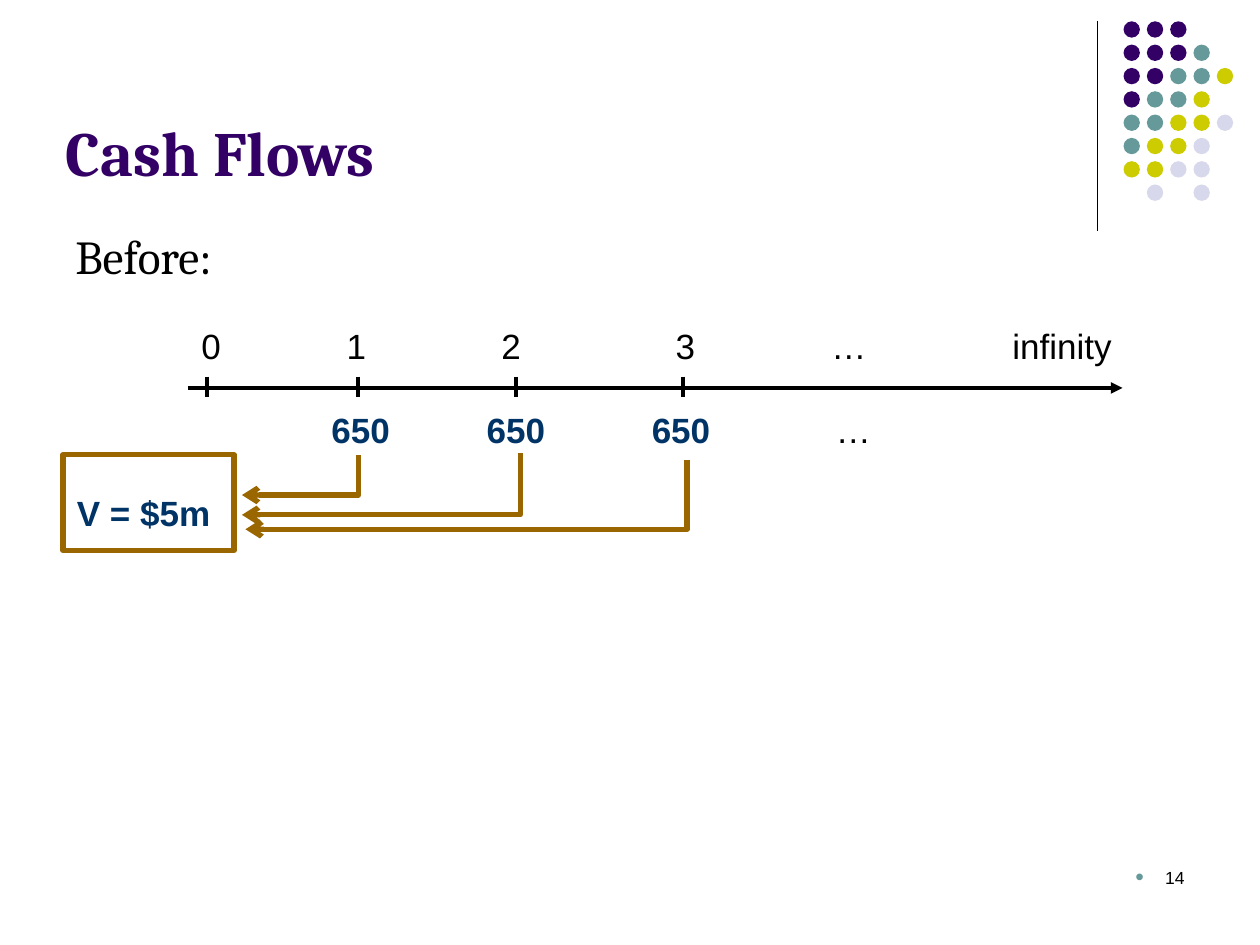
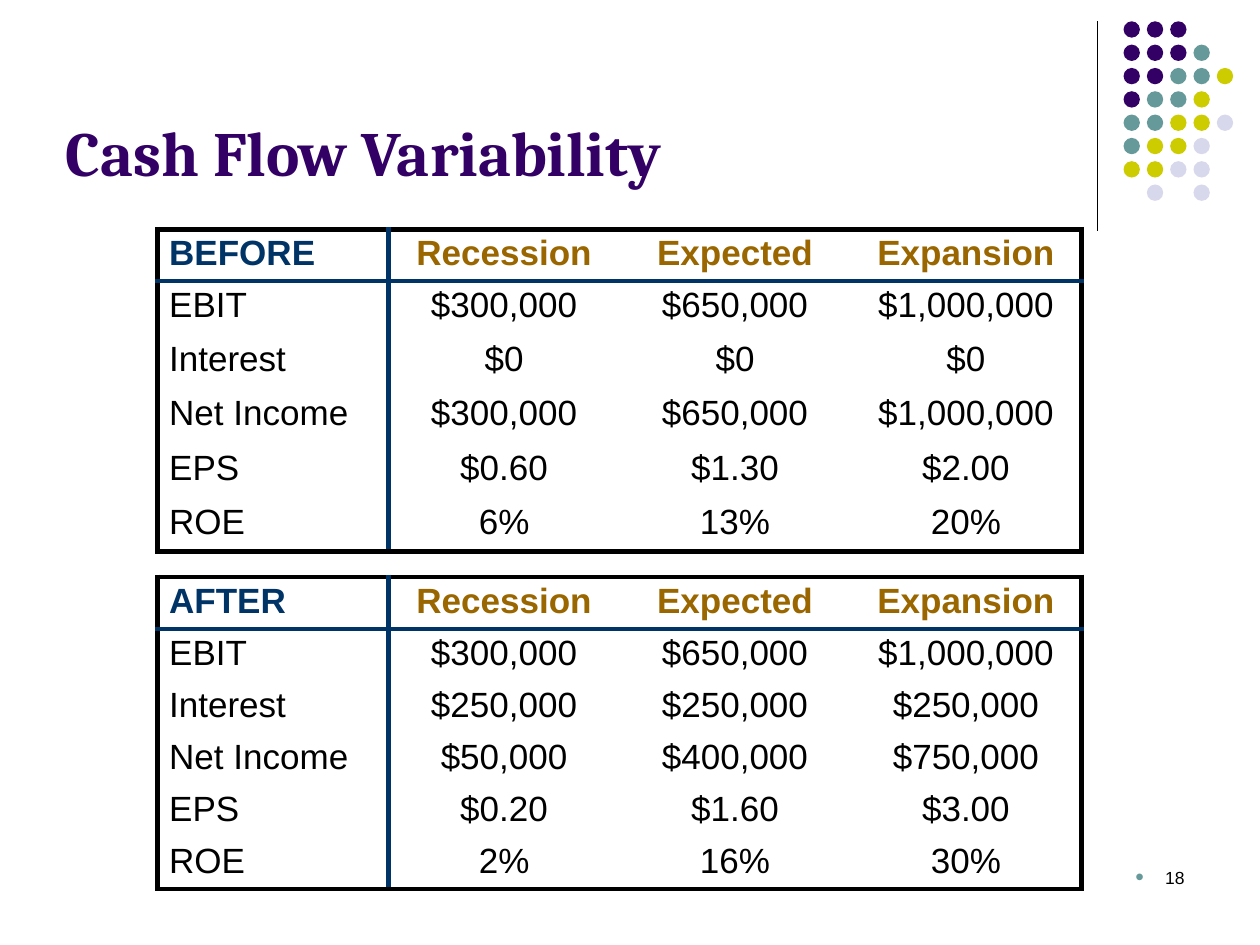
from dataclasses import dataclass

from lxml import etree
from pptx import Presentation
from pptx.dml.color import RGBColor
from pptx.enum.shapes import MSO_CONNECTOR, MSO_SHAPE
from pptx.enum.text import MSO_ANCHOR, MSO_AUTO_SIZE, PP_ALIGN
from pptx.oxml.ns import qn
from pptx.util import Cm, Pt

STRAIGHT, ELBOW = MSO_CONNECTOR.STRAIGHT, MSO_CONNECTOR.ELBOW
RECT, OVAL = MSO_SHAPE.RECTANGLE, MSO_SHAPE.OVAL
LEFT, CENTER, RIGHT = PP_ALIGN.LEFT, PP_ALIGN.CENTER, PP_ALIGN.RIGHT
TOP, BOTTOM = MSO_ANCHOR.TOP, MSO_ANCHOR.BOTTOM
NO_FIT = MSO_AUTO_SIZE.NONE


@dataclass(frozen=True)
class Theme:
    purple: str = "330066"
    teal: str = "669999"
    lime: str = "CCCC00"
    mist: str = "D8D8EC"
    navy: str = "003366"
    gold: str = "996600"
    black: str = "000000"
    heading_font: str = "Cambria"
    body_font: str = "Arial"
    title_size: int = 36
    lead_size: int = 27
    body_size: int = 20
    number_size: int = 10
    hairline: float = 0.75
    axis_line: float = 2.25
    heavy_line: float = 3


DOT_ROWS = ["PPP", "PPPT", "PPTTL", "PTTL", "TTLLM", "TLLM", "LLMM", " M M"]
SCENARIOS = ["Recession", "Expected", "Expansion"]
BEFORE = [
    ["BEFORE", *SCENARIOS],
    ["EBIT", "$300,000", "$650,000", "$1,000,000"],
    ["Interest", "$0", "$0", "$0"],
    ["Net Income", "$300,000", "$650,000", "$1,000,000"],
    ["EPS", "$0.60", "$1.30", "$2.00"],
    ["ROE", "6%", "13%", "20%"],
]
AFTER = [
    ["AFTER", *SCENARIOS],
    ["EBIT", "$300,000", "$650,000", "$1,000,000"],
    ["Interest", "$250,000", "$250,000", "$250,000"],
    ["Net Income", "$50,000", "$400,000", "$750,000"],
    ["EPS", "$0.20", "$1.60", "$3.00"],
    ["ROE", "2%", "16%", "30%"],
]


def sub(parent, tag, **attrs):
    """Append a DrawingML child element."""
    return etree.SubElement(parent, qn(tag), attrs)


def write(p, text, size=20, color="000000", font="Arial", bold=False, align=LEFT):
    """Add a formatted run to a paragraph."""
    p.alignment = align
    r = p.add_run()
    r.text = text
    r.font.size = Pt(size)
    r.font.name = font
    r.font.bold = bold
    r.font.color.rgb = RGBColor.from_string(color)


def set_tabs(p, stops):
    tabs = sub(p._p.get_or_add_pPr(), "a:tabLst")
    for stop in stops:
        sub(tabs, "a:tab", pos=str(Cm(stop)), algn="l")


def set_bullet(p, color, hang):
    pPr = p._p.get_or_add_pPr()
    pPr.set("marL", str(Cm(hang)))
    pPr.set("indent", str(-Cm(hang)))
    sub(sub(pPr, "a:buClr"), "a:srgbClr", val=color)
    sub(pPr, "a:buSzPct", val="140000")
    sub(pPr, "a:buFont", typeface="Arial")
    sub(pPr, "a:buChar", char="•")


def set_border(cell, edge, color, width):
    """Draw one cell edge, or clear it when color is None."""
    ln = sub(cell._tc.get_or_add_tcPr(), f"a:ln{edge}", w=str(Pt(width)))
    if color:
        sub(sub(ln, "a:solidFill"), "a:srgbClr", val=color)
    else:
        sub(ln, "a:noFill")


class Deck:
    def __init__(self, theme):
        self.t = theme
        self.prs = Presentation()
        self.prs.slide_width, self.prs.slide_height = Cm(25.4), Cm(19.05)
        self.s = None

    def slide(self, title, number):
        t = self.t
        self.s = self.prs.slides.add_slide(self.prs.slide_layouts[5])
        self.line(22.12, 0.43, 22.12, 4.65, width=t.hairline)
        self.dots()
        sp = self.s.shapes.title
        sp.left, sp.top, sp.width, sp.height = Cm(1.07), Cm(0.76), Cm(23.29), Cm(3.18)
        tf = sp.text_frame
        tf.vertical_anchor, tf.auto_size = BOTTOM, NO_FIT
        write(tf.paragraphs[0], title, size=t.title_size, color=t.purple,
              font=t.heading_font, bold=True)
        p = self.text(18.21, 17.35, 5.92, 1.27, str(number),
                      size=t.number_size, align=RIGHT)
        set_bullet(p, t.teal, hang=0.6)

    def dots(self, left=22.65, top=0.43, pitch=0.47, size=0.33):
        t = self.t
        colors = {"P": t.purple, "T": t.teal, "L": t.lime, "M": t.mist}
        group = self.s.shapes.add_group_shape()
        for row, codes in enumerate(DOT_ROWS):
            for col, code in enumerate(codes):
                if code not in colors:
                    continue
                sp = group.shapes.add_shape(OVAL, Cm(left + col * pitch), Cm(top + row * pitch),
                                            Cm(size), Cm(size))
                sp.shadow.inherit = False
                sp.fill.solid()
                sp.fill.fore_color.rgb = RGBColor.from_string(colors[code])
                sp.line.fill.background()

    def text(self, x, y, w, h, text, **fmt):
        """Add a text box and return its paragraph."""
        tf = self.s.shapes.add_textbox(Cm(x), Cm(y), Cm(w), Cm(h)).text_frame
        tf.word_wrap = True
        p = tf.paragraphs[0]
        write(p, text, **fmt)
        return p

    def line(self, x1, y1, x2, y2, width, color=None, kind=STRAIGHT, head=None):
        cx = self.s.shapes.add_connector(kind, Cm(x1), Cm(y1), Cm(x2), Cm(y2))
        cx.line.width = Pt(width)
        cx.line.color.rgb = RGBColor.from_string(color or self.t.black)
        spPr = cx.element.spPr
        if head:
            sub(spPr.find(qn("a:ln")), "a:tailEnd", type=head)
        if kind == ELBOW:
            guides = spPr.find(qn("a:prstGeom")).find(qn("a:avLst"))
            sub(guides, "a:gd", name="adj1", fmla="val 0")
        sub(spPr, "a:effectLst")

    def frame(self, x, y, w, h):
        sp = self.s.shapes.add_shape(RECT, Cm(x), Cm(y), Cm(w), Cm(h))
        sp.shadow.inherit = False
        sp.fill.background()
        sp.line.color.rgb = RGBColor.from_string(self.t.gold)
        sp.line.width = Pt(self.t.heavy_line)

    def table(self, rows, x, y, w, row_height, header_height=1.02):
        n_rows, n_cols = len(rows), len(rows[0])
        height = header_height + row_height * (n_rows - 1)
        table = self.s.shapes.add_table(n_rows, n_cols, Cm(x), Cm(y), Cm(w), Cm(height)).table
        table.first_row = table.horz_banding = False
        for i, values in enumerate(rows):
            table.rows[i].height = Cm(row_height if i else header_height)
            for j, value in enumerate(values):
                self.cell(table.cell(i, j), value, i, j, n_rows - 1, n_cols - 1)

    def cell(self, cell, value, i, j, last_row, last_col):
        t = self.t
        cell.margin_left = cell.margin_right = Cm(0.23)
        cell.margin_top = cell.margin_bottom = Cm(0.1)
        cell.vertical_anchor = TOP
        edges = {
            "L": {0: t.black, 1: t.navy}.get(j),
            "R": {0: t.navy, last_col: t.black}.get(j),
            "T": {0: t.black, 1: t.navy}.get(i),
            "B": {0: t.navy, last_row: t.black}.get(i),
        }
        for edge, color in edges.items():
            set_border(cell, edge, color, t.heavy_line)
        cell.fill.background()
        header_color = t.gold if j else t.navy
        write(cell.text_frame.paragraphs[0], value, size=t.body_size,
              color=t.black if i else header_color, bold=i == 0,
              align=CENTER if j else LEFT)


def cash_flows(deck):
    t = deck.t
    deck.slide("Cash Flows", 14)
    deck.text(1.27, 4.45, 20, 1.4, "Before:", size=t.lead_size, font=t.heading_font)

    deck.line(3.78, 7.82, 22.63, 7.82, width=t.axis_line, head="triangle")
    periods = deck.text(3.81, 6.42, 20.12, 1.12, "0\t1\t2\t3\t…\tinfinity", size=t.body_size)
    set_tabs(periods, [2.93, 6.05, 9.56, 12.7, 16.35])
    flows = deck.text(3.48, 8.12, 14.45, 1.12, "\t650\t650\t650\t",
                      size=t.body_size, color=t.navy, bold=True)
    write(flows, "…", size=t.body_size)
    set_tabs(flows, [2.95, 6.08, 9.41, 13.12])
    for x in (4.17, 7.21, 10.41, 13.77):
        deck.line(x, 7.59, x, 8, width=t.axis_line)

    deck.text(1.3, 9.78, 3.6, 1.12, "V = $5m", size=t.body_size, color=t.navy, bold=True)
    for x1, y1, x2, y2 in ((7.23, 9.17, 4.88, 9.98),
                           (10.49, 9.14, 4.88, 10.38),
                           (13.85, 9.27, 4.95, 10.67)):
        deck.line(x1, y1, x2, y2, width=t.heavy_line, color=t.gold, kind=ELBOW, head="arrow")
    deck.frame(1.27, 9.17, 3.45, 1.93)


def cash_flow_variability(deck):
    deck.slide("Cash Flow Variability", 18)
    deck.table(BEFORE, 3.18, 4.62, 18.62, row_height=1.09)
    deck.table(AFTER, 3.18, 11.63, 18.62, row_height=1.04)


def main():
    deck = Deck(Theme())
    cash_flows(deck)
    cash_flow_variability(deck)
    deck.prs.save("out.pptx")


if __name__ == "__main__":
    main()
